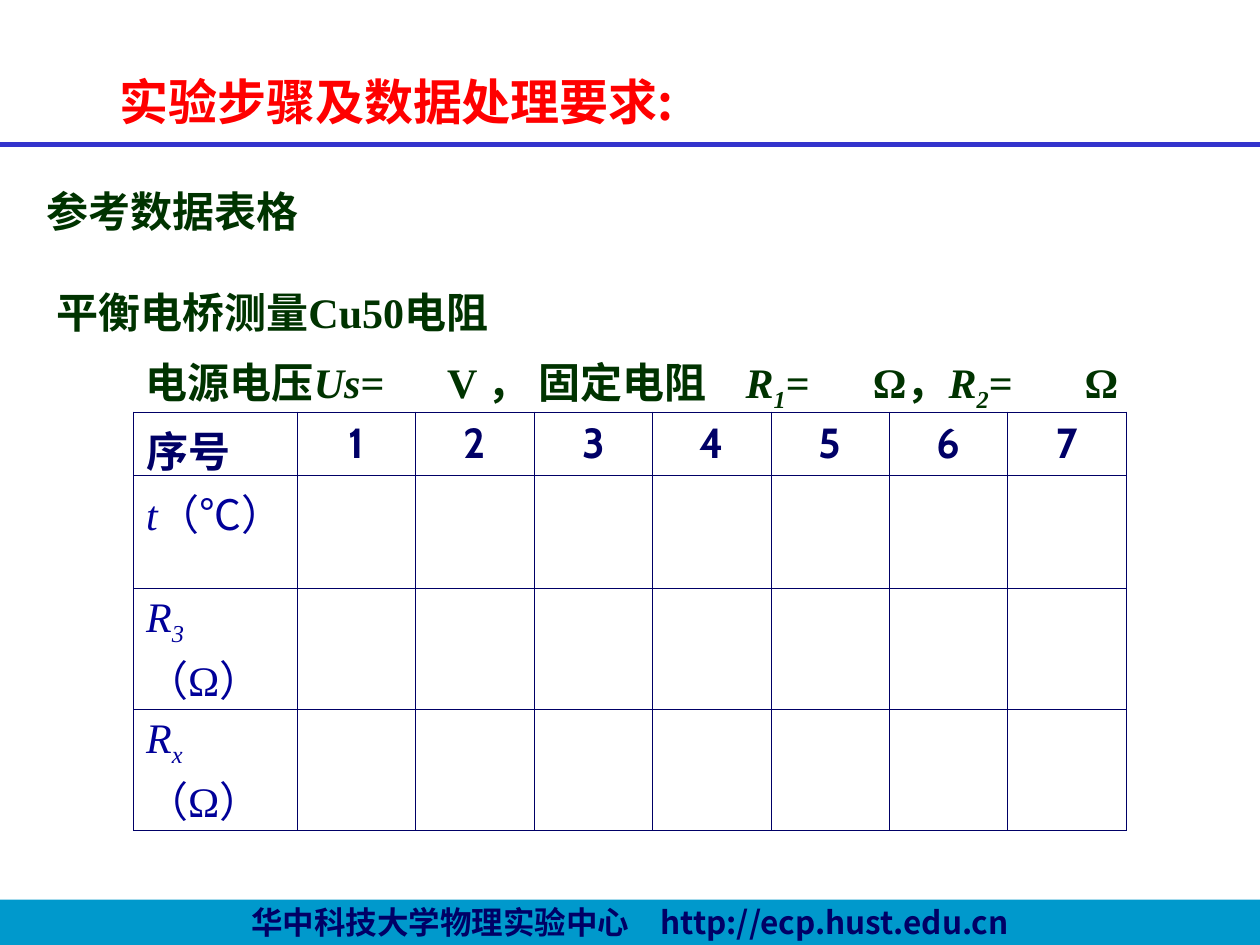
from lxml import etree
from pptx import Presentation, util as u
from pptx.dml.color import RGBColor
from pptx.enum import shapes, text
from pptx.oxml import ns

WIDTH, HEIGHT = u.Inches(10), u.Inches(7.5)
CJK_FONT, SERIF, DIGITS = "Noto Sans CJK SC", "Times New Roman", "Cabin"
NAVY, BLUE, GREEN, RED = "000066", "000099", "003300", "FF0000"
SUBSCRIPT = "-25000"


def color(value):
    return RGBColor.from_string(value)


def across(percent):
    return round(WIDTH * percent / 100)


def down(percent):
    return round(HEIGHT * percent / 100)


def place(left, top, width, height):
    """Turn percentages of the slide into a position and a size."""
    return across(left), down(top), across(width), down(height)


def write(frame, content, size=24, font=SERIF, fill=GREEN, bold=True,
          align=text.PP_ALIGN.LEFT, spacing=None, tabs=()):
    """Fill one paragraph; content is a string or (string, style) pairs,
    where style may hold i for italic and s for subscript."""
    paragraph = frame.paragraphs[0]
    paragraph.alignment = align
    if spacing:
        paragraph.line_spacing = spacing
    if tabs:
        properties = paragraph._p.get_or_add_pPr()
        tab_list = etree.SubElement(properties, ns.qn("a:tabLst"))
        for position in tabs:
            etree.SubElement(tab_list, ns.qn("a:tab"),
                             pos=str(across(position)), algn="l")
    runs = [(content, "")] if isinstance(content, str) else content
    for words, style in runs:
        run = paragraph.add_run()
        run.text = words
        run.font.size = u.Pt(size)
        run.font.bold = bold
        run.font.italic = "i" in style
        run.font.name = font
        run.font.color.rgb = color(fill)
        properties = run._r.get_or_add_rPr()
        if "s" in style:
            properties.set("baseline", SUBSCRIPT)
        latin = properties.find(ns.qn("a:latin"))
        latin.addnext(etree.Element(ns.qn("a:ea"), typeface=CJK_FONT))


def add_text(slide, box, content, anchor=text.MSO_ANCHOR.MIDDLE, **style):
    frame = slide.shapes.add_textbox(*place(*box)).text_frame
    frame.word_wrap = True
    frame.vertical_anchor = anchor
    write(frame, content, **style)


def add_footer(slide):
    bar = slide.shapes.add_shape(shapes.MSO_SHAPE.RECTANGLE,
                                 *place(0, 95.2, 100, 4.8))
    bar.shadow.inherit = False
    bar.fill.solid()
    bar.fill.fore_color.rgb = color("0099CC")
    bar.line.fill.background()
    bar.text_frame.word_wrap = False
    bar.text_frame.vertical_anchor = text.MSO_ANCHOR.MIDDLE
    write(bar.text_frame, "华中科技大学物理实验中心　http://ecp.hust.edu.cn",
          size=18, font=CJK_FONT, fill=NAVY, align=text.PP_ALIGN.CENTER)


def add_rule(slide, top):
    rule = slide.shapes.add_connector(shapes.MSO_CONNECTOR.STRAIGHT,
                                      0, down(top), WIDTH, down(top))
    rule.line.color.rgb = color("3333CC")
    rule.line.width = u.Pt(3)
    etree.SubElement(rule._element.spPr, ns.qn("a:effectLst"))


def outline(cell):
    properties = cell._tc.get_or_add_tcPr()
    for index, side in enumerate(("lnL", "lnR", "lnT", "lnB")):
        line = etree.Element(ns.qn(f"a:{side}"), w=str(u.Pt(0.45)))
        fill = etree.SubElement(line, ns.qn("a:solidFill"))
        etree.SubElement(fill, ns.qn("a:srgbClr"), val=NAVY)
        properties.insert(index, line)


def add_data_table(slide):
    labels = [
        [("t", "i"), ("（℃）", "")],
        [("R", "i"), ("3", "is"), ("（Ω）", "")],
        [("R", "i"), ("x", "is"), ("（Ω）", "")],
    ]
    widths = [13] + [9.4] * 7
    heights = [6.67, 12, 12.8, 12.8]
    box = place(10.6, 43.6, sum(widths), sum(heights))
    table = slide.shapes.add_table(len(heights), len(widths), *box).table
    table.first_row = table.horz_banding = False
    for column, width in zip(table.columns, widths):
        column.width = across(width)
    for row, height in zip(table.rows, heights):
        row.height = down(height)
    for cell in table.iter_cells():
        cell.fill.background()
        outline(cell)

    for number in range(len(widths)):
        write(table.cell(0, number).text_frame, str(number or "序号"),
              font=DIGITS, fill=NAVY,
              align=text.PP_ALIGN.CENTER if number else text.PP_ALIGN.LEFT)
    for row, label in enumerate(labels, start=1):
        write(table.cell(row, 0).text_frame, label, fill=BLUE, bold=False)
    for row in range(len(heights)):
        heading = table.cell(row, 0)
        heading.fill.solid()
        heading.fill.fore_color.rgb = color("FFFFFF")


def main():
    presentation = Presentation()
    presentation.slide_width, presentation.slide_height = WIDTH, HEIGHT
    slide = presentation.slides.add_slide(presentation.slide_layouts[6])

    add_footer(slide)
    add_rule(slide, 15.33)
    add_text(slide, (8.5, 6.93, 54.1, 7.6), "实验步骤及数据处理要求:",
             anchor=text.MSO_ANCHOR.TOP, size=28, font=CJK_FONT, fill=RED)
    add_text(slide, (2.7, 17.33, 91.4, 8.27), "参考数据表格", spacing=1.3)
    add_text(slide, (3.5, 28, 91.4, 8.27), "平衡电桥测量Cu50电阻", spacing=1.3)
    add_data_table(slide)
    add_text(slide, (10.6, 31.73, 80.3, 16.13), [
        ("电源电压", ""), ("Us", "i"), ("=\tV ， 固定电阻\t", ""),
        ("R", "i"), ("1", "is"), ("=\tΩ，", ""),
        ("R", "i"), ("2", "is"), ("=\tΩ", ""),
    ], spacing=1.3, tabs=(23.9, 47.6, 57.7, 74.5))
    presentation.save("out.pptx")


if __name__ == "__main__":
    main()
